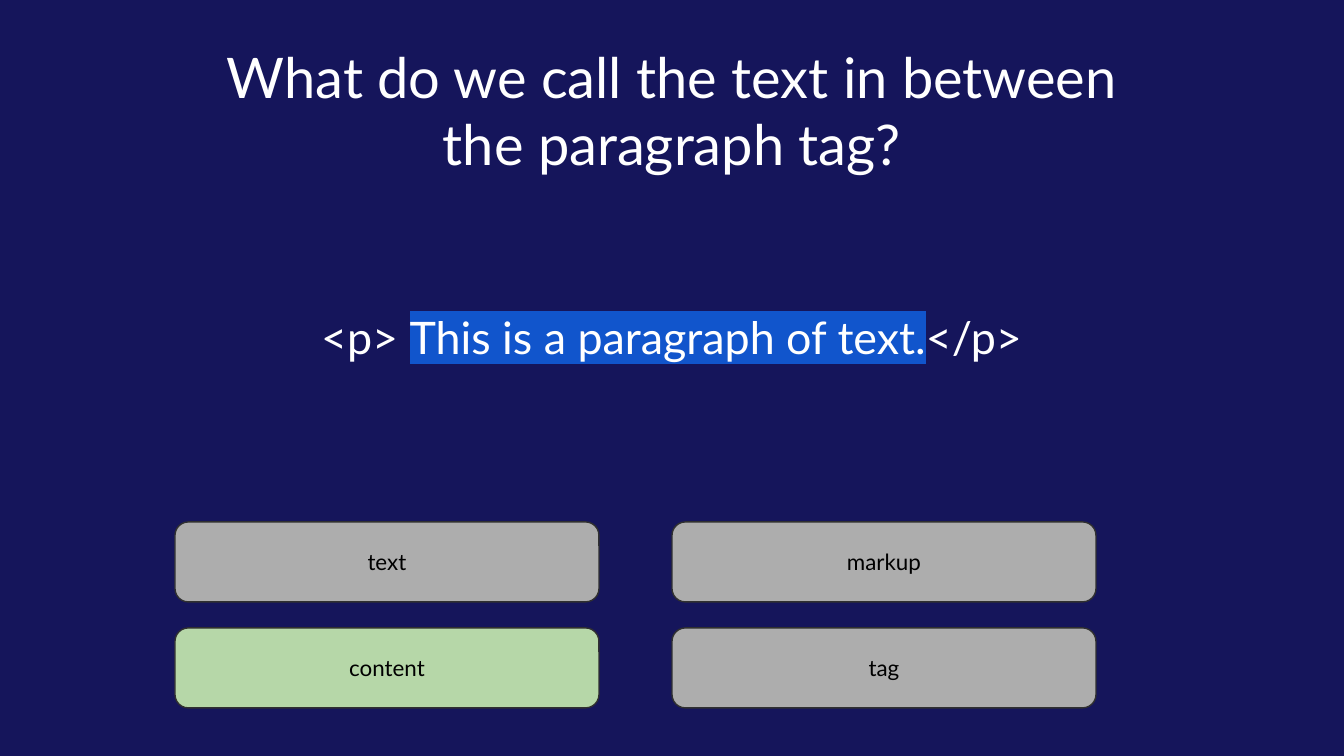
from lxml import etree
from pptx import Presentation
from pptx.dml.color import RGBColor
from pptx.enum.shapes import MSO_SHAPE
from pptx.enum.text import MSO_ANCHOR, MSO_AUTO_SIZE, PP_ALIGN
from pptx.oxml.ns import qn
from pptx.util import Emu, Pt

ROUNDED = MSO_SHAPE.ROUNDED_RECTANGLE
CENTER = PP_ALIGN.CENTER
MIDDLE, TOP = MSO_ANCHOR.MIDDLE, MSO_ANCHOR.TOP
NO_AUTOFIT = MSO_AUTO_SIZE.NONE

# Content
QUESTION = "What do we call the text in between the paragraph tag?"
CODE_PARTS = [("<p> ", False), ("This is a paragraph of text.", True), ("</p>", False)]
ANSWERS = [["text", "markup"], ["content", "tag"]]
CORRECT = "content"

# Style
FONT = "Lato"
COLORS = {
    "background": "15155B",
    "light": "FFFFFF",
    "dark": "000000",
    "answer": "ADADAD",
    "correct": "B6D7A8",
    "outline": "303030",
    "highlight": "1155CC",
}

# Layout in px, 134.4 px to the inch
EMU_PER_PX = 914400 / 134.4
SLIDE_SIZE = (1344, 756)
TITLE_BOX = (187, 40, 970, 139)
CODE_BOX = (232, 297, 879, 82)
GRID_LEFT, GRID_TOP = 175, 522
ANSWER_WIDTH, ANSWER_HEIGHT = 424, 80
COLUMN_GAP, ROW_GAP = 73, 26
INSET = 13


def px(*lengths):
    return [Emu(round(length * EMU_PER_PX)) for length in lengths]


def color(name):
    return RGBColor.from_string(COLORS[name])


def format_text(shape, size, color_name, anchor):
    frame = shape.text_frame
    frame.word_wrap = True
    frame.auto_size = NO_AUTOFIT
    frame.vertical_anchor = anchor
    frame.margin_left, frame.margin_top, frame.margin_right, frame.margin_bottom = px(*[INSET] * 4)
    paragraph = frame.paragraphs[0]
    paragraph.alignment = CENTER
    for run in paragraph.runs:
        run.font.name = FONT
        run.font.size = Pt(size)
        run.font.color.rgb = color(color_name)


def highlight(run, color_name):
    element = etree.Element(qn("a:highlight"))
    etree.SubElement(element, qn("a:srgbClr"), val=COLORS[color_name])
    run.font._element.find(qn("a:solidFill")).addnext(element)


def add_answer(slide, text, row, column):
    left = GRID_LEFT + column * (ANSWER_WIDTH + COLUMN_GAP)
    top = GRID_TOP + row * (ANSWER_HEIGHT + ROW_GAP)
    shape = slide.shapes.add_shape(ROUNDED, *px(left, top, ANSWER_WIDTH, ANSWER_HEIGHT))
    shape.shadow.inherit = False
    shape.fill.solid()
    shape.fill.fore_color.rgb = color("correct" if text == CORRECT else "answer")
    shape.line.color.rgb = color("outline")
    shape.line.width = Pt(0.75)
    shape.text_frame.text = text
    format_text(shape, 12, "dark", MIDDLE)


def main():
    presentation = Presentation()
    presentation.slide_width, presentation.slide_height = px(*SLIDE_SIZE)
    slide = presentation.slides.add_slide(presentation.slide_layouts[5])
    slide.background.fill.solid()
    slide.background.fill.fore_color.rgb = color("background")

    # Question
    title = slide.shapes.title
    title.left, title.top, title.width, title.height = px(*TITLE_BOX)
    title.text_frame.text = QUESTION
    format_text(title, 30, "light", MIDDLE)

    # Code line with its highlighted content
    code = slide.shapes.add_textbox(*px(*CODE_BOX))
    paragraph = code.text_frame.paragraphs[0]
    for text, _ in CODE_PARTS:
        paragraph.add_run().text = text
    format_text(code, 24, "light", TOP)
    for run, (_, highlighted) in zip(paragraph.runs, CODE_PARTS):
        if highlighted:
            highlight(run, "highlight")

    # Answer grid
    for row, answers in enumerate(ANSWERS):
        for column, text in enumerate(answers):
            add_answer(slide, text, row, column)

    presentation.save("out.pptx")


if __name__ == "__main__":
    main()
